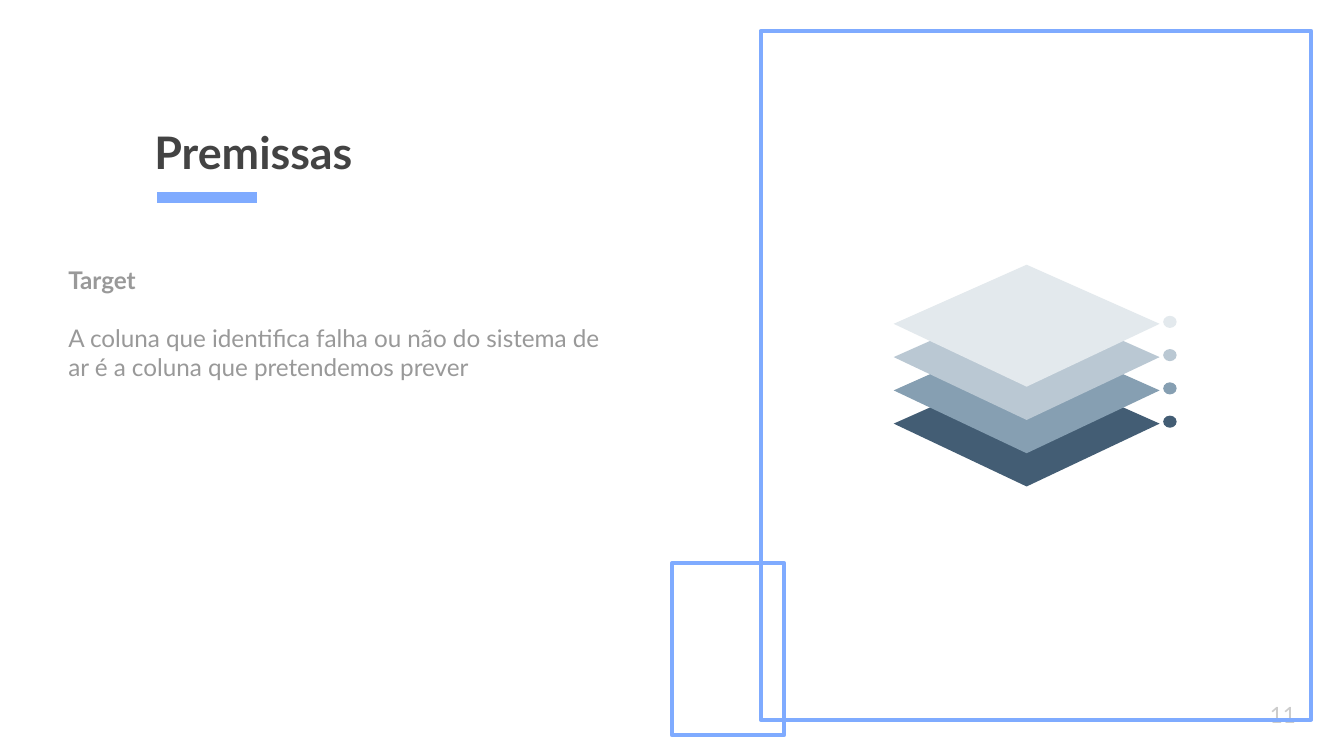
import pptx
import pptx.dml.color
import pptx.enum.shapes
import pptx.enum.text
import pptx.oxml
import pptx.util
from pptx.enum.shapes import MSO_CONNECTOR, MSO_SHAPE
from pptx.enum.text import MSO_ANCHOR

RGBColor = pptx.dml.color.RGBColor
Inches = pptx.util.Inches
Pt = pptx.util.Pt

SLIDE_WIDTH = Inches(10)
SLIDE_HEIGHT = SLIDE_WIDTH * 9 // 16

ACCENT = RGBColor(0x7F, 0xAB, 0xFF)
TITLE_GRAY = RGBColor(0x43, 0x43, 0x43)
BODY_GRAY = RGBColor(0x99, 0x99, 0x99)
NUMBER_GRAY = RGBColor(0xCC, 0xCC, 0xCC)
LAYERS_BOTTOM_UP = [
    RGBColor(0x43, 0x5D, 0x74),
    RGBColor(0x86, 0x9F, 0xB2),
    RGBColor(0xBA, 0xC8, 0xD3),
    RGBColor(0xE3, 0xE9, 0xED),
]
FONT = "Lato"


def share_box(left, top, width, height):
    """Turn percentages of the slide's size into a box of lengths."""
    return (round(left * SLIDE_WIDTH / 100), round(top * SLIDE_HEIGHT / 100),
            round(width * SLIDE_WIDTH / 100),
            round(height * SLIDE_HEIGHT / 100))


def add_text(page, box, paragraphs, size, color, anchor=MSO_ANCHOR.TOP,
             line_spacing=None, gap=0):
    """Place (text, bold) paragraphs, separated by gap points."""
    frame = page.shapes.add_textbox(*box).text_frame
    frame.word_wrap = True
    frame.vertical_anchor = anchor
    frame.margin_left = frame.margin_right = Inches(0.1)
    frame.margin_top = frame.margin_bottom = Inches(0.1)
    for index, (text, bold) in enumerate(paragraphs):
        para = frame.add_paragraph() if index else frame.paragraphs[0]
        para.line_spacing = line_spacing
        para.space_before = Pt(gap if index else 0)
        span = para.add_run()
        span.text = text
        span.font.name = FONT
        span.font.size = Pt(size)
        span.font.bold = bold
        span.font.color.rgb = color


def add_frame(page, box):
    frame = page.shapes.add_shape(MSO_SHAPE.RECTANGLE, *box)
    frame.shadow.inherit = False
    frame.fill.background()
    frame.line.color.rgb = ACCENT
    frame.line.width = Pt(2.25)


def add_heading(page, box, text):
    """Bottom-anchored title with a short accent bar just below it."""
    left, top, width, height = box
    add_text(page, box, [(text, True)], 24, TITLE_GRAY,
             anchor=MSO_ANCHOR.BOTTOM, line_spacing=1.15)
    bar_left = left + Inches(0.12)
    bar_top = top + height + Inches(0.04)
    bar = page.shapes.add_connector(
        MSO_CONNECTOR.STRAIGHT, bar_left, bar_top,
        bar_left + Inches(0.74), bar_top)
    bar.line.color.rgb = ACCENT
    bar.line.width = Pt(6)
    bar.element.spPr.append(pptx.oxml.parse_xml(
        '<a:effectLst xmlns:a='
        '"http://schemas.openxmlformats.org/drawingml/2006/main"/>'))


def add_layer_stack(page, box):
    """Overlapping rhombi, each with a dot at its right corner."""
    left, top, width, height = box
    sheet_width, sheet_height = round(0.94 * width), round(0.55 * height)
    dot_width, dot_height = Inches(0.1), Inches(0.09)
    step = (height - sheet_height) / (len(LAYERS_BOTTOM_UP) - 1)
    middle = left + sheet_width // 2
    stack = page.shapes.add_group_shape()
    for index, color in enumerate(LAYERS_BOTTOM_UP):
        sheet_top = round(top + height - sheet_height - index * step)
        side = sheet_top + round(0.485 * sheet_height)
        outline = stack.shapes.build_freeform(middle, sheet_top)
        outline.add_line_segments([
            (left, side),
            (middle, sheet_top + sheet_height),
            (left + sheet_width, side),
        ], close=True)
        sheet = outline.convert_to_shape()
        dot = stack.shapes.add_shape(
            MSO_SHAPE.OVAL, left + width - dot_width,
            side - Inches(0.06), dot_width, dot_height)
        for part in (sheet, dot):
            part.shadow.inherit = False
            part.fill.solid()
            part.fill.fore_color.rgb = color
            part.line.fill.background()


def build_slide(deck):
    page = deck.slides.add_slide(deck.slide_layouts[6])
    add_heading(page, share_box(10.5, 3.73, 58.1, 21.69), "Premissas")
    add_text(page, share_box(93.5, 90.75, 6, 7.64), [("11", False)], 12,
             NUMBER_GRAY, anchor=MSO_ANCHOR.MIDDLE)
    add_text(page, share_box(4.1, 33.3, 43.1, 39.47), [
        ("Target", True),
        ("A coluna que identifica falha ou não do sistema de ar é a coluna "
         "que pretendemos prever", False),
    ], 13, BODY_GRAY, gap=15.6)
    add_frame(page, share_box(56.6, 4.09, 40.95, 91.11))
    add_frame(page, share_box(50, 74.49, 8.35, 22.76))
    add_layer_stack(page, share_box(66.5, 35.02, 21.05, 29.33))


def main():
    deck = pptx.Presentation()
    deck.slide_width, deck.slide_height = SLIDE_WIDTH, SLIDE_HEIGHT
    build_slide(deck)
    deck.save("out.pptx")


if __name__ == "__main__":
    main()
